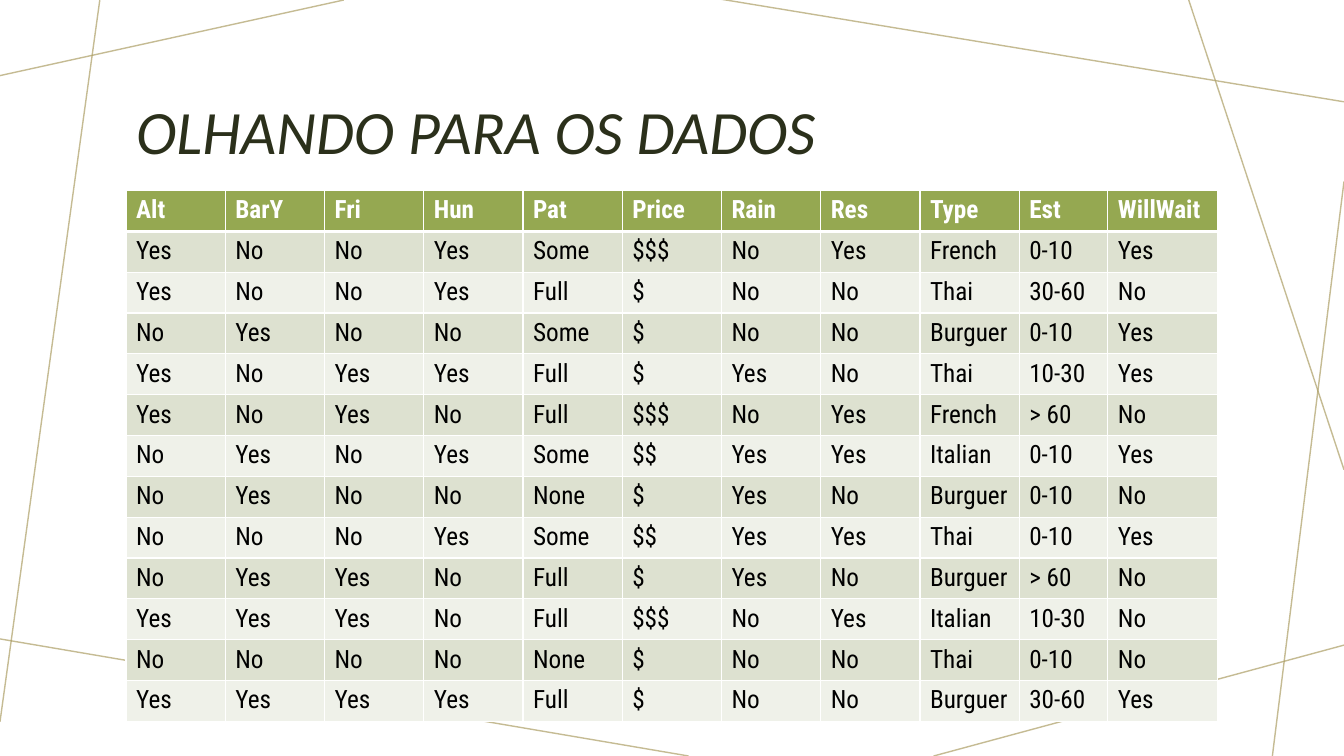
from dataclasses import dataclass

from lxml import etree
from pptx import Presentation
from pptx.dml.color import RGBColor
from pptx.enum.shapes import MSO_CONNECTOR
from pptx.enum.text import MSO_ANCHOR, MSO_AUTO_SIZE, PP_ALIGN
from pptx.oxml.ns import qn
from pptx.util import Inches, Pt

STRAIGHT = MSO_CONNECTOR.STRAIGHT
MIDDLE = MSO_ANCHOR.MIDDLE
NO_FIT = MSO_AUTO_SIZE.NONE
LEFT = PP_ALIGN.LEFT


@dataclass(frozen=True)
class Theme:
    title_font: str = "Calibri"
    table_font: str = "Roboto Condensed"
    title_size: int = 44
    table_size: int = 18
    title_color: str = "2B301B"
    line_color: str = "AD9F66"
    line_opacity: int = 70
    header_fill: str = "95A851"
    band_fills: tuple = ("DDE1D0", "EFF1E9")
    header_text: str = "FFFFFF"
    body_text: str = "000000"
    border: str = "FFFFFF"


class SlideBuilder:
    def __init__(self, s, theme):
        self.s = s
        self.theme = theme

    def format_text(self, p, color, **formats):
        for r in p.runs:
            for name, value in formats.items():
                setattr(r.font, name, value)
            r.font.color.rgb = RGBColor.from_string(color)

    def title(self, text, box):
        sp = self.s.shapes.title
        sp.element.getparent().append(sp.element)
        for name, value in zip(("left", "top", "width", "height"), box):
            setattr(sp, name, Inches(value))
        tf = sp.text_frame
        tf.text = text
        frame = {"word_wrap": True, "auto_size": NO_FIT, "vertical_anchor": MIDDLE}
        for name, value in frame.items():
            setattr(tf, name, value)
        p = tf.paragraphs[0]
        p.alignment = LEFT
        p.line_spacing = 0.9
        self.format_text(p, self.theme.title_color, name=self.theme.title_font,
                         size=Pt(self.theme.title_size), italic=True, bold=False)

    def line(self, start, end):
        cxn = self.s.shapes.add_connector(STRAIGHT, *map(Inches, start + end))
        cxn.line.width = Pt(1)
        cxn.line.color.rgb = RGBColor.from_string(self.theme.line_color)
        color = cxn.line._get_or_add_ln().find(".//" + qn("a:srgbClr"))
        etree.SubElement(color, qn("a:alpha"), val=str(self.theme.line_opacity * 1000))
        etree.SubElement(cxn.element.spPr, qn("a:effectLst"))

    def borders(self, cell, top, bottom):
        tcPr = cell._tc.get_or_add_tcPr()
        for side, width in {"lnL": 1, "lnR": 1, "lnT": top, "lnB": bottom}.items():
            ln = etree.SubElement(tcPr, qn("a:" + side), w=str(Pt(width)))
            fill = etree.SubElement(ln, qn("a:solidFill"))
            etree.SubElement(fill, qn("a:srgbClr"), val=self.theme.border)

    def cell(self, cell, text, row):
        header = row == 0
        self.borders(cell, 3 if row == 1 else 1, 3 if header else 1)
        fill = self.theme.header_fill if header else self.theme.band_fills[(row - 1) % 2]
        cell.fill.solid()
        cell.fill.fore_color.rgb = RGBColor.from_string(fill)
        cell.text = text
        color = self.theme.header_text if header else self.theme.body_text
        self.format_text(cell.text_frame.paragraphs[0], color, name=self.theme.table_font,
                         size=Pt(self.theme.table_size), bold=header)

    def table(self, rows, box, widths):
        frame = self.s.shapes.add_table(len(rows), len(widths), *map(Inches, box))
        table = frame.table
        for column, width in zip(table.columns, widths):
            column.width = Inches(width)
        for i, values in enumerate(rows):
            table.rows[i].height = Inches(box[3] / len(rows))
            for j, value in enumerate(values):
                self.cell(table.cell(i, j), value, i)


LINES = [
    ((3.41, 0), (0, 0.75)),
    ((0.99, 0), (0, 7.16)),
    ((6.83, 7.5), (-0.05, 6.33)),
    ((13.33, 6.4), (9.26, 7.5)),
    ((13.33, 1.8), (12.62, 7.5)),
    ((13.33, 4.66), (11.79, 0)),
    ((13.33, 1.01), (7.14, -0.01)),
]

DATA = """Alt,BarY,Fri,Hun,Pat,Price,Rain,Res,Type,Est,WillWait
Yes,No,No,Yes,Some,$$$,No,Yes,French,0-10,Yes
Yes,No,No,Yes,Full,$,No,No,Thai,30-60,No
No,Yes,No,No,Some,$,No,No,Burguer,0-10,Yes
Yes,No,Yes,Yes,Full,$,Yes,No,Thai,10-30,Yes
Yes,No,Yes,No,Full,$$$,No,Yes,French,> 60,No
No,Yes,No,Yes,Some,$$,Yes,Yes,Italian,0-10,Yes
No,Yes,No,No,None,$,Yes,No,Burguer,0-10,No
No,No,No,Yes,Some,$$,Yes,Yes,Thai,0-10,Yes
No,Yes,Yes,No,Full,$,Yes,No,Burguer,> 60,No
Yes,Yes,Yes,No,Full,$$$,No,Yes,Italian,10-30,No
No,No,No,No,None,$,No,No,Thai,0-10,No
Yes,Yes,Yes,Yes,Full,$,No,No,Burguer,30-60,Yes"""


def main():
    prs = Presentation()
    prs.slide_width, prs.slide_height = Inches(13.33), Inches(7.5)
    slide = SlideBuilder(prs.slides.add_slide(prs.slide_layouts[5]), Theme())
    for start, end in LINES:
        slide.line(start, end)
    left, width = 1.25, 10.83
    slide.title("OLHANDO PARA OS DADOS", (left, 0.58, width, 1.51))
    est, will_wait = 0.88, 1.09
    widths = [(width - est - will_wait) / 9] * 9 + [est, will_wait]
    rows = [row.split(",") for row in DATA.splitlines()]
    slide.table(rows, (left, 1.89, width, 5.27), widths)
    prs.save("out.pptx")


if __name__ == "__main__":
    main()
